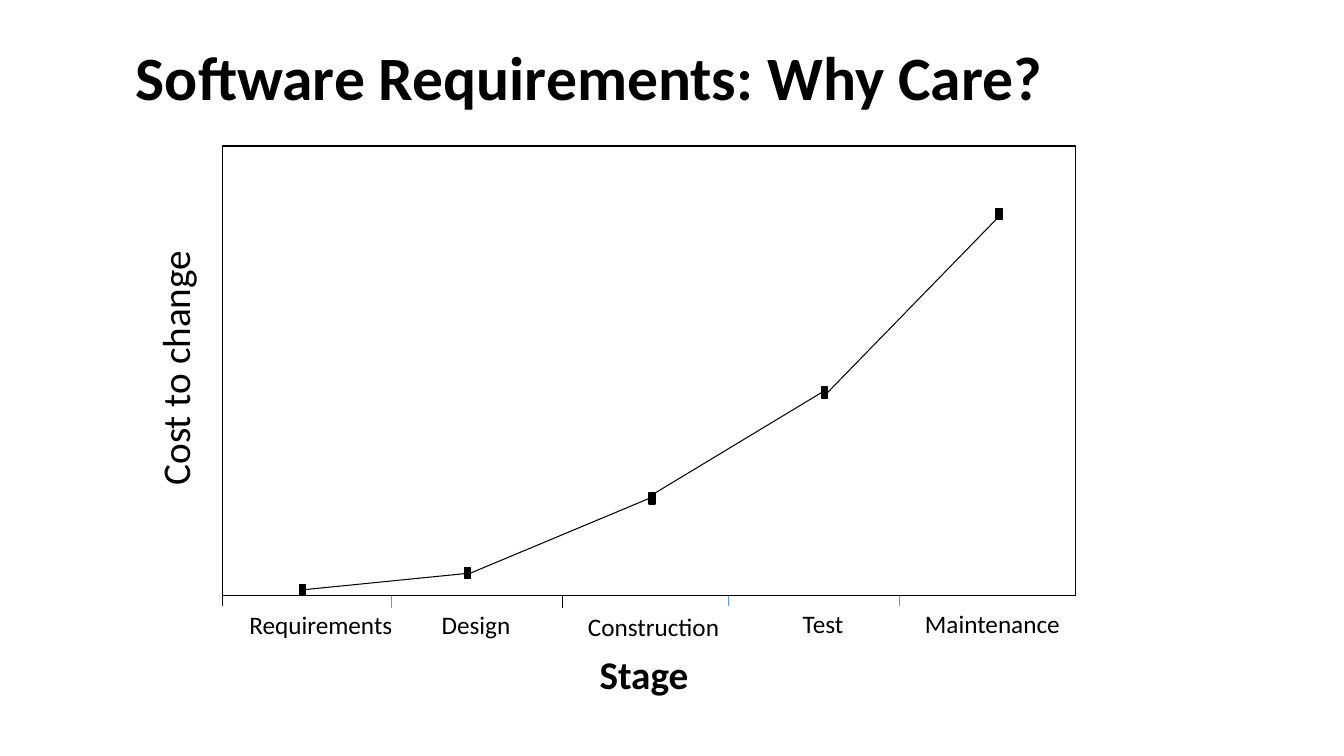
from pptx import Presentation
from pptx.dml.color import RGBColor
from pptx.enum.shapes import MSO_CONNECTOR, MSO_SHAPE
from pptx.enum.text import MSO_ANCHOR, PP_ALIGN
from pptx.oxml.ns import qn
from pptx.util import Pt
from lxml.etree import SubElement

BLACK, WHITE, BLUE = "000000", "FFFFFF", "5B9BD5"
PLOT = (159.1, 104.4, 609.1, 321.1)  # left, top, width, height
MARKER_W, MARKER_H = 4.3, 7.9
LABEL_W, LABEL_H = 130, 29

# stage, label centre, label top, marker left, marker top
STAGES = [
    ("Requirements", 229.3, 431.3, 213.8, 417.6),
    ("Design", 340, 431.3, 331.9, 405.4),
    ("Construction", 466.8, 432.7, 463.7, 352.1),
    ("Test", 587.9, 430.6, 586.8, 276.5),
    ("Maintenance", 708.9, 430.6, 711.4, 149),
]

# x, length, colour
TICKS = [
    (159.1, 7.2, BLACK),
    (279.4, 8.6, BLUE),
    (401.8, 8.6, BLACK),
    (520.6, 7.2, BLUE),
    (642.2, 7.2, BLUE),
]

# Where each curve segment leaves one marker and meets the next,
# as fractions of the marker's width and height
LEFT, RIGHT = (0, 0.5), (1, 0.5)
TOP_RIGHT, BOTTOM_LEFT = (1, 0), (0, 1)
SEGMENTS = [(LEFT, RIGHT), (RIGHT, LEFT), (TOP_RIGHT, LEFT), (RIGHT, BOTTOM_LEFT)]
JOIN_SITES = {LEFT: 1, RIGHT: 3}

# text, left, top, width, height, rotation, alignment, font format
TEXTS = [
    ("Software Requirements: Why Care?", 90, 23.8, 752.4, 60.5, 0,
     PP_ALIGN.LEFT, {"size": Pt(44), "bold": True}),
    ("Cost to change", 24.7, 242.5, 200, 41, 270,
     PP_ALIGN.CENTER, {"size": Pt(28)}),
    ("Stage", 410, 460.8, 100, 41, 0,
     PP_ALIGN.CENTER, {"size": Pt(28), "bold": True}),
] + [
    (stage, centre - LABEL_W / 2, top, LABEL_W, LABEL_H, 0,
     PP_ALIGN.CENTER, {"size": Pt(18)})
    for stage, centre, top, _, _ in STAGES
]


def color(code):
    return RGBColor.from_string(code)


def add_text(page, text, left, top, width, height, rotation, align, font):
    box = page.shapes.add_textbox(Pt(left), Pt(top), Pt(width), Pt(height))
    box.rotation = rotation
    frame = box.text_frame
    frame.word_wrap = True
    frame.vertical_anchor = MSO_ANCHOR.MIDDLE
    para = frame.paragraphs[0]
    para.alignment = align
    span = para.add_run()
    span.text = text
    for name, value in {"name": "Calibri", **font}.items():
        setattr(span.font, name, value)
    span.font.color.rgb = color(BLACK)


def add_box(page, left, top, width, height, fill):
    box = page.shapes.add_shape(
        MSO_SHAPE.RECTANGLE, Pt(left), Pt(top), Pt(width), Pt(height))
    box.shadow.inherit = False
    box.fill.solid()
    box.fill.fore_color.rgb = color(fill)
    box.line.color.rgb = color(BLACK)
    box.line.width = Pt(1)
    return box


def add_line(page, start, end, code):
    ends = [Pt(value) for value in (*start, *end)]
    line = page.shapes.add_connector(MSO_CONNECTOR.STRAIGHT, *ends)
    line.line.color.rgb = color(code)
    line.line.width = Pt(0.75)
    SubElement(line._element.spPr, qn("a:effectLst"))
    return line


def add_curve(page):
    markers = [add_box(page, left, top, MARKER_W, MARKER_H, BLACK)
               for *_, left, top in STAGES]
    spots = [(left, top) for *_, left, top in STAGES]
    for index, sides in enumerate(SEGMENTS):
        start, end = [
            (left + fx * MARKER_W, top + fy * MARKER_H)
            for (left, top), (fx, fy) in zip(spots[index:index + 2], sides)]
        line = add_line(page, start, end, BLACK)
        joins = (line.begin_connect, line.end_connect)
        for join, marker, side in zip(joins, markers[index:index + 2], sides):
            if side in JOIN_SITES:
                join(marker, JOIN_SITES[side])


def main():
    deck = Presentation()
    deck.slide_width, deck.slide_height = Pt(960), Pt(540)
    page = deck.slides.add_slide(deck.slide_layouts[6])
    add_box(page, *PLOT, WHITE)
    axis = PLOT[1] + PLOT[3]
    for x, length, code in TICKS:
        add_line(page, (x, axis), (x, axis + length), code)
    add_curve(page)
    for entry in TEXTS:
        add_text(page, *entry)
    deck.save("out.pptx")


if __name__ == "__main__":
    main()
